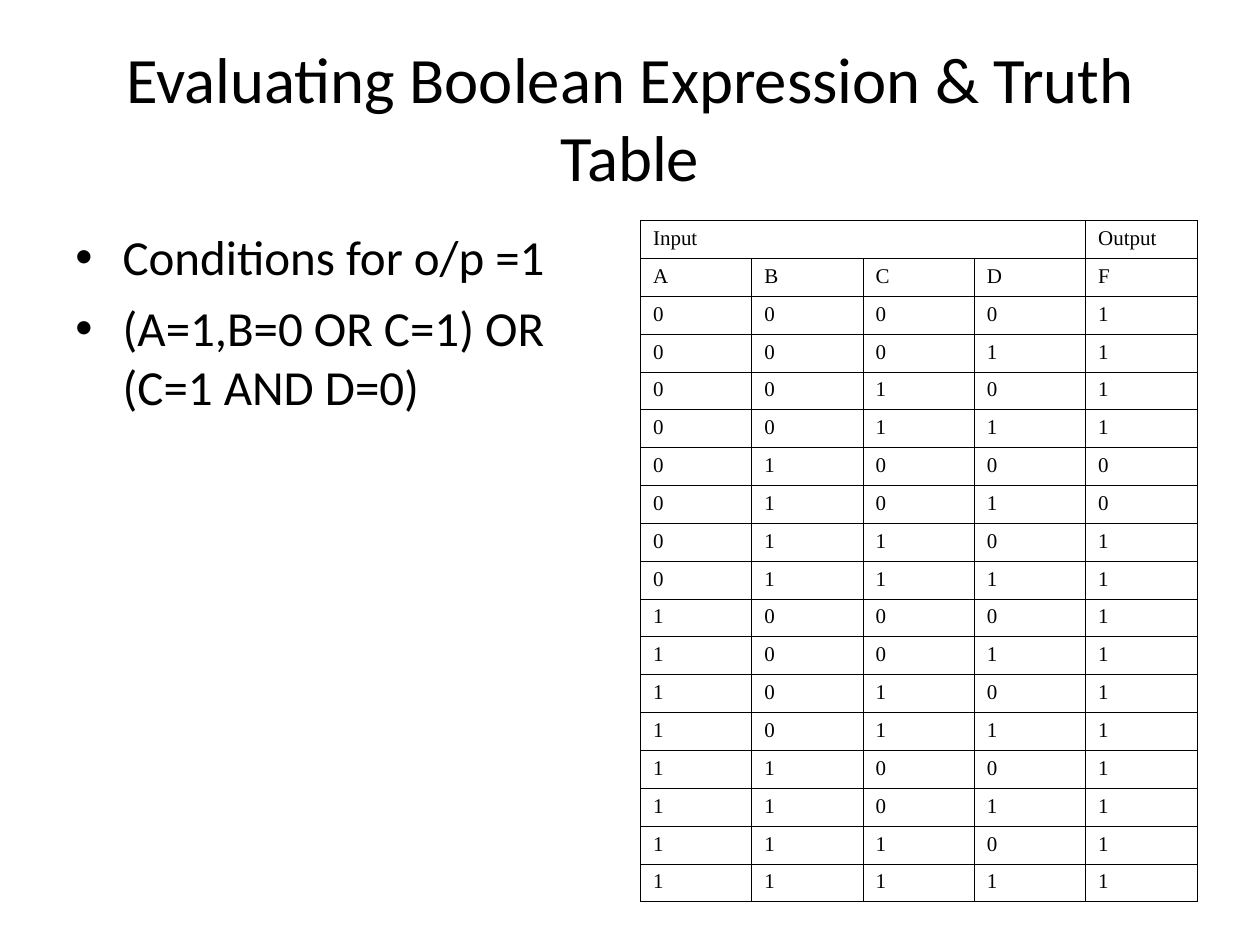
import itertools

import pptx
import pptx.dml.color
import pptx.enum.text
import pptx.oxml
import pptx.oxml.ns
import pptx.util

Pt = pptx.util.Pt
ALIGN = pptx.enum.text.PP_ALIGN
ANCHOR = pptx.enum.text.MSO_ANCHOR
COLORS = {"text": "000000", "border": "000000"}
BODY_FONT = "Calibri"
TABLE_FONT = "Times New Roman"


def drawing_element(tag, content="", **attributes):
    listed = "".join(f' {name}="{value}"' for name, value in attributes.items())
    namespace = pptx.oxml.ns.nsdecls("a")
    return pptx.oxml.parse_xml(f"<a:{tag} {namespace}{listed}>{content}</a:{tag}>")


def write_text(frame, text, size, font=BODY_FONT, align=ALIGN.LEFT,
               anchor=ANCHOR.TOP, bullet_indent=0, space_before=0):
    """Fill a text frame with one paragraph per line of text."""
    frame.word_wrap = True
    frame.vertical_anchor = anchor
    frame.text = text
    for index, paragraph in enumerate(frame.paragraphs):
        if bullet_indent:
            properties = paragraph._p.get_or_add_pPr()
            properties.set("marL", str(Pt(bullet_indent)))
            properties.set("indent", str(-Pt(bullet_indent)))
            properties.append(drawing_element("buFont", typeface="Arial"))
            properties.append(drawing_element("buChar", char="•"))
        paragraph.alignment = align
        paragraph.space_before = Pt(space_before if index else 0)
        for run in paragraph.runs:
            run.font.name = font
            run.font.size = Pt(size)
            run.font.color.rgb = pptx.dml.color.RGBColor.from_string(COLORS["text"])


def place_title(slide, left, top, width, height):
    title = slide.shapes.title
    title.left, title.top, title.width, title.height = map(Pt, (left, top, width, height))
    title.text_frame.auto_size = pptx.enum.text.MSO_AUTO_SIZE.NONE
    write_text(title.text_frame, "Evaluating Boolean Expression & Truth Table",
               size=37, align=ALIGN.CENTER, anchor=ANCHOR.MIDDLE)


def add_conditions(slide, left, top, width, height):
    box = slide.shapes.add_textbox(*map(Pt, (left, top, width, height)))
    write_text(box.text_frame,
               "Conditions for o/p =1\n(A=1,B=0 OR C=1) OR (C=1 AND D=0)",
               size=28, bullet_indent=27, space_before=7)


def format_cell(cell):
    properties = cell._tc.get_or_add_tcPr()
    color = f'<a:solidFill><a:srgbClr val="{COLORS["border"]}"/></a:solidFill>'
    for side in ("lnL", "lnR", "lnT", "lnB"):
        properties.append(drawing_element(side, color, w=Pt(0.45)))
    cell.fill.background()


def truth_rows():
    """Return the headings and one row for each combination of inputs."""
    rows = [["Input", "", "", "", "Output"], list("ABCDF")]
    for a, b, c, d in itertools.product((0, 1), repeat=4):
        rows.append([a, b, c, d, int(a or not b or c)])
    return rows


def add_truth_table(slide, left, top, width, height):
    rows = truth_rows()
    frame = slide.shapes.add_table(len(rows), len(rows[0]),
                                   *map(Pt, (left, top, width, height)))
    table = frame.table
    table.first_row = table.horz_banding = False
    for column in table.columns:
        column.width = Pt(width / len(rows[0]))
    for row_index, values in enumerate(rows):
        table.rows[row_index].height = Pt(height / len(rows))
        for column_index, value in enumerate(values):
            cell = table.cell(row_index, column_index)
            format_cell(cell)
            if value != "":
                write_text(cell.text_frame, str(value), size=12,
                           font=TABLE_FONT, align=ALIGN.JUSTIFY)
    table.cell(0, 0).merge(table.cell(0, 3))


def main():
    presentation = pptx.Presentation()
    presentation.slide_width, presentation.slide_height = Pt(720), Pt(540)
    slide = presentation.slides.add_slide(presentation.slide_layouts[5])
    place_title(slide, 36, 21.6, 648, 90)
    add_conditions(slide, 36, 126, 318, 356.4)
    add_truth_table(slide, 366, 126, 318, 388.8)
    presentation.save("out.pptx")


if __name__ == "__main__":
    main()
